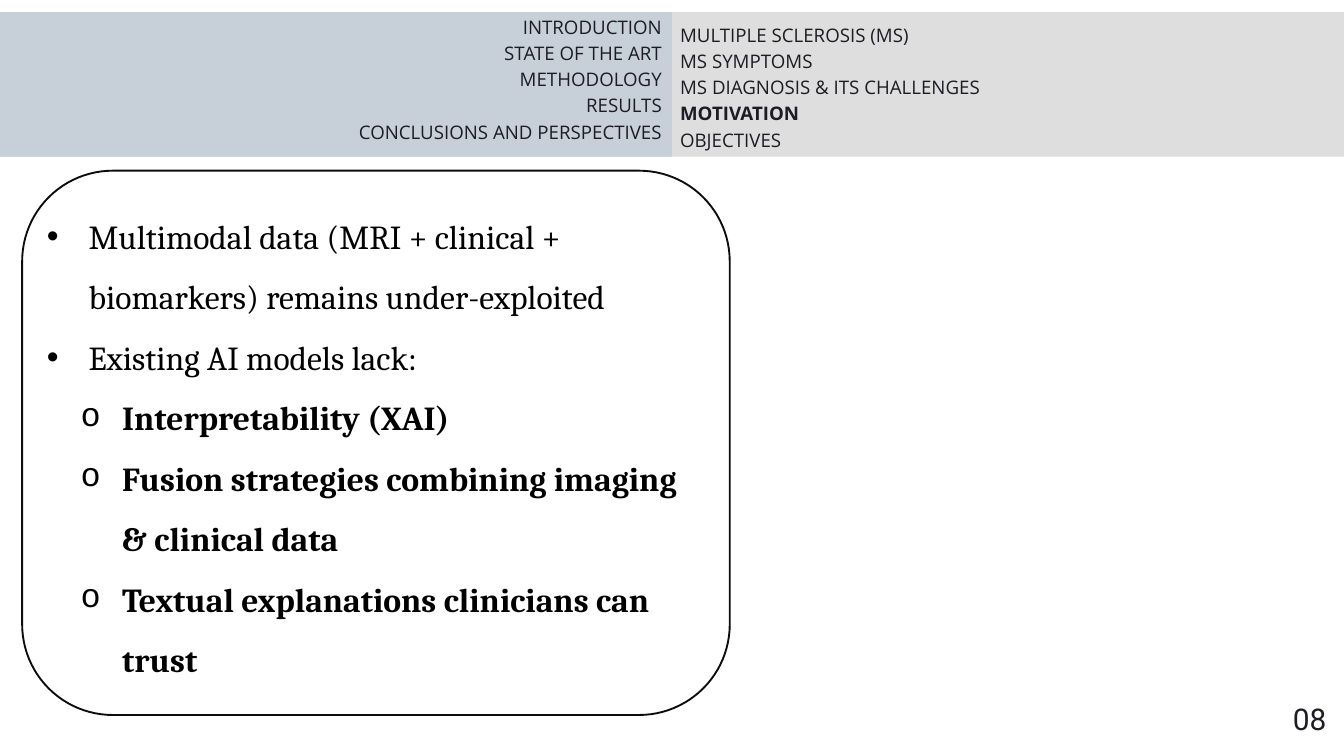
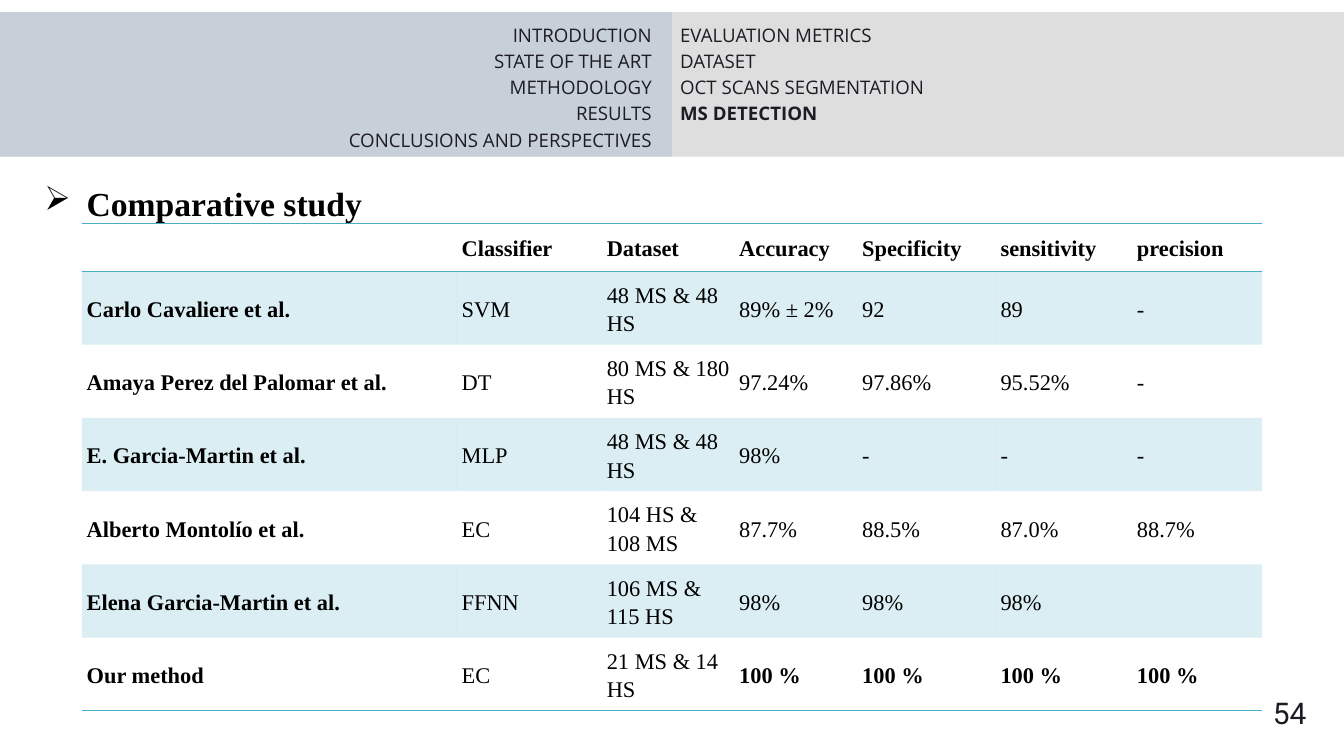
from lxml import etree
from pptx import Presentation
from pptx.dml.color import RGBColor
from pptx.enum.shapes import MSO_SHAPE
from pptx.enum.text import MSO_ANCHOR, MSO_AUTO_SIZE, PP_ALIGN
from pptx.oxml.ns import qn
from pptx.util import Inches, Pt

RECTANGLE, ROUNDED = MSO_SHAPE.RECTANGLE, MSO_SHAPE.ROUNDED_RECTANGLE
TOP, MIDDLE = MSO_ANCHOR.TOP, MSO_ANCHOR.MIDDLE
GROW = MSO_AUTO_SIZE.SHAPE_TO_FIT_TEXT
LEFT, RIGHT, JUSTIFY = PP_ALIGN.LEFT, PP_ALIGN.RIGHT, PP_ALIGN.JUSTIFY

BLACK = RGBColor(0x00, 0x00, 0x00)
WHITE = RGBColor(0xFF, 0xFF, 0xFF)
INK = RGBColor(0x1D, 0x1C, 0x24)
OUTLINE = RGBColor(0x0D, 0x0D, 0x0D)
GREY_BAND = RGBColor(0xDE, 0xDE, 0xDE)
BLUE_BAND = RGBColor(0xC7, 0xD0, 0xD8)
TEAL = RGBColor(0x4B, 0xAC, 0xC6)

MENU_FONT, NUMBER_FONT = "Open Sans", "Roboto"
POINTS_FONT, STUDY_FONT = "Cambria", "Times New Roman"
NO_GRID_STYLE = "{2D5ABB26-0587-4C30-8999-92F81FD0307C}"

CHAPTERS = ["INTRODUCTION", "STATE OF THE ART", "METHODOLOGY", "RESULTS",
            "CONCLUSIONS AND PERSPECTIVES"]

MOTIVATION = {
    "chapters_box": (0.15, 0.18, 9.7, 2.33),
    "sections": ["MULTIPLE SCLEROSIS (MS)", "MS SYMPTOMS",
                 "MS DIAGNOSIS & ITS CHALLENGES", "MOTIVATION", "OBJECTIVES"],
    "current": "MOTIVATION",
    "number": "08",
    "number_box": (19.24, 10.51, 0.56, 0.48),
}
POINTS = [
    (0, "Multimodal data (MRI + clinical + biomarkers) remains under-exploited"),
    (0, "Existing AI models lack:"),
    (1, "Interpretability (XAI)"),
    (1, "Fusion strategies combining imaging & clinical data"),
    (1, "Textual explanations clinicians can trust"),
]
POINT_BULLETS = [("•", "Arial", 0.62), ("o", "Courier New", 1.12)]

DETECTION = {
    "chapters_box": (0, 0.3, 9.7, 2.33),
    "sections": ["EVALUATION METRICS", "DATASET", "OCT SCANS SEGMENTATION",
                 "MS DETECTION"],
    "current": "MS DETECTION",
    "number": "54",
    "number_box": (18.94, 10.43, 0.56, 0.48),
}
STUDY_TITLE = "Comparative study"
STUDY = [
    ("", "Classifier", "Dataset", "Accuracy", "Specificity", "sensitivity", "precision"),
    ("Carlo Cavaliere et al.", "SVM", "48 MS & 48 HS", "89% ± 2%", "92", "89", "-"),
    ("Amaya Perez del Palomar et al.", "DT", "80 MS & 180 HS",
     "97.24%", "97.86%", "95.52%", "-"),
    ("E. Garcia-Martin et al.", "MLP", "48 MS & 48 HS", "98%", "-", "-", "-"),
    ("Alberto Montolío et al.", "EC", "104 HS & 108 MS",
     "87.7%", "88.5%", "87.0%", "88.7%"),
    ("Elena Garcia-Martin et al.", "FFNN", "106 MS & 115 HS", "98%", "98%", "98%", ""),
    ("Our method", "EC", "21 MS & 14 HS", "100 %", "100 %", "100 %", "100 %"),
]
STUDY_WIDTHS = [5.58, 2.16, 1.97, 1.83, 2.06, 2.03, 1.93]
HEADER_HEIGHT, METHOD_HEIGHT = 0.72, 1.09
FIRST_SCORE = 3


def inches(box):
    return [Inches(length) for length in box]


def write(paragraph, text, font, size, color, bold=False):
    run = paragraph.add_run()
    run.text = text
    run.font.name, run.font.size, run.font.bold = font, Pt(size), bold
    run.font.color.rgb = color


def add_block(slide, shape_kind, box, color):
    block = slide.shapes.add_shape(shape_kind, *inches(box))
    block.shadow.inherit = False
    block.fill.solid()
    block.fill.fore_color.rgb = color
    block.line.fill.background()
    return block


def add_text(slide, box, margin=True):
    frame = slide.shapes.add_textbox(*inches(box)).text_frame
    frame.word_wrap = True
    frame.auto_size = GROW
    if not margin:
        frame.margin_left = frame.margin_right = 0
        frame.margin_top = frame.margin_bottom = 0
    return frame


def next_paragraph(frame):
    first = frame.paragraphs[0]
    return frame.add_paragraph() if first.runs else first


def add_bullet(paragraph, char, font, indent, hanging):
    props = paragraph._p.get_or_add_pPr()
    props.set("marL", str(Inches(indent)))
    props.set("indent", str(-Inches(hanging)))
    if font:
        etree.SubElement(props, qn("a:buFont")).set("typeface", font)
    etree.SubElement(props, qn("a:buChar")).set("char", char)


def add_menu(slide, box, entries, align, current=None):
    frame = add_text(slide, box, margin=False)
    for entry in entries:
        paragraph = next_paragraph(frame)
        paragraph.alignment = align
        paragraph.line_spacing = Pt(28)
        write(paragraph, entry, MENU_FONT, 20, INK, entry == current)


def add_frame(slide, topic):
    add_block(slide, RECTANGLE, (0, 0.18, 20, 2.15), GREY_BAND)
    add_block(slide, RECTANGLE, (0, 0.18, 10, 2.15), BLUE_BAND)
    add_menu(slide, topic["chapters_box"], CHAPTERS, RIGHT)
    sections = topic["sections"]
    add_menu(slide, (10.12, 0.3, 9.58, len(sections) * 28 / 72), sections,
             JUSTIFY, topic["current"])
    number = add_text(slide, topic["number_box"], margin=False).paragraphs[0]
    number.line_spacing = Pt(32)
    write(number, topic["number"], NUMBER_FONT, 32, INK)


def add_points(slide):
    panel = add_block(slide, ROUNDED, (0.33, 2.54, 10.53, 8.1), WHITE)
    panel.line.color.rgb = OUTLINE
    panel.line.width = Pt(2)
    frame = add_text(slide, (0.6, 2.86, 9.81, 7.98))
    for level, point in POINTS:
        paragraph = next_paragraph(frame)
        paragraph.level = level
        paragraph.line_spacing = 1.5
        add_bullet(paragraph, *POINT_BULLETS[level], 0.62)
        write(paragraph, point, POINTS_FONT, 36, BLACK, level == 1)


def add_study_title(slide):
    title = slide.shapes.title
    title.left, title.top, title.width, title.height = inches((0.56, 2.37, 17.57, 0.9))
    frame = title.text_frame
    frame.vertical_anchor = TOP
    frame.word_wrap = True
    frame.auto_size = GROW
    paragraph = frame.paragraphs[0]
    paragraph.alignment = JUSTIFY
    paragraph.line_spacing = 1.5
    paragraph.space_after = Pt(10)
    add_bullet(paragraph, "➢", None, 0.63, 0.63)
    write(paragraph, STUDY_TITLE, STUDY_FONT, 36, BLACK, True)


def set_rules(cell, ruled_sides):
    props = cell._tc.get_or_add_tcPr()
    for side in ("L", "R", "T", "B"):
        rule = etree.SubElement(props, qn("a:ln" + side))
        if side in ruled_sides:
            rule.set("w", str(Pt(1)))
            fill = etree.SubElement(rule, qn("a:solidFill"))
            etree.SubElement(fill, qn("a:srgbClr")).set("val", str(TEAL))
        else:
            etree.SubElement(rule, qn("a:noFill"))


def fill_cell(cell, shaded):
    if not shaded:
        cell.fill.background()
        return
    cell.fill.solid()
    cell.fill.fore_color.rgb = TEAL
    color = cell._tc.tcPr.find(qn("a:solidFill")).find(qn("a:srgbClr"))
    etree.SubElement(color, qn("a:alpha")).set("val", "20000")


def add_study(slide):
    last = len(STUDY) - 1
    heights = [HEADER_HEIGHT] + [METHOD_HEIGHT] * last
    study = slide.shapes.add_table(
        len(STUDY), len(STUDY_WIDTHS),
        *inches((1.22, 3.32, sum(STUDY_WIDTHS), sum(heights)))).table
    study.horz_banding = False
    study._tbl.tblPr.find(qn("a:tableStyleId")).text = NO_GRID_STYLE
    for column, width in zip(study.columns, STUDY_WIDTHS):
        column.width = Inches(width)
    for row, height in zip(study.rows, heights):
        row.height = Inches(height)
    for r, method in enumerate(STUDY):
        rules = {0: "TB", 1: "T", last: "B"}.get(r, "")
        for c, value in enumerate(method):
            cell = study.cell(r, c)
            set_rules(cell, rules)
            fill_cell(cell, r % 2 == 1)
            cell.vertical_anchor = MIDDLE
            cell.margin_left = cell.margin_right = Inches(0.07)
            cell.margin_top = cell.margin_bottom = 0
            if value:
                paragraph = cell.text_frame.paragraphs[0]
                paragraph.alignment = LEFT
                paragraph.line_spacing = 1.15
                paragraph.space_after = Pt(10)
                bold = r == 0 or c == 0 or (r == last and c >= FIRST_SCORE)
                write(paragraph, value, STUDY_FONT, 24, BLACK, bold)


def main():
    deck = Presentation()
    deck.slide_width, deck.slide_height = Inches(20), Inches(11.25)
    title_only, blank = deck.slide_layouts[5], deck.slide_layouts[6]

    motivation = deck.slides.add_slide(blank)
    add_frame(motivation, MOTIVATION)
    add_points(motivation)

    detection = deck.slides.add_slide(title_only)
    add_frame(detection, DETECTION)
    add_study(detection)
    add_study_title(detection)

    deck.save("out.pptx")


if __name__ == "__main__":
    main()
